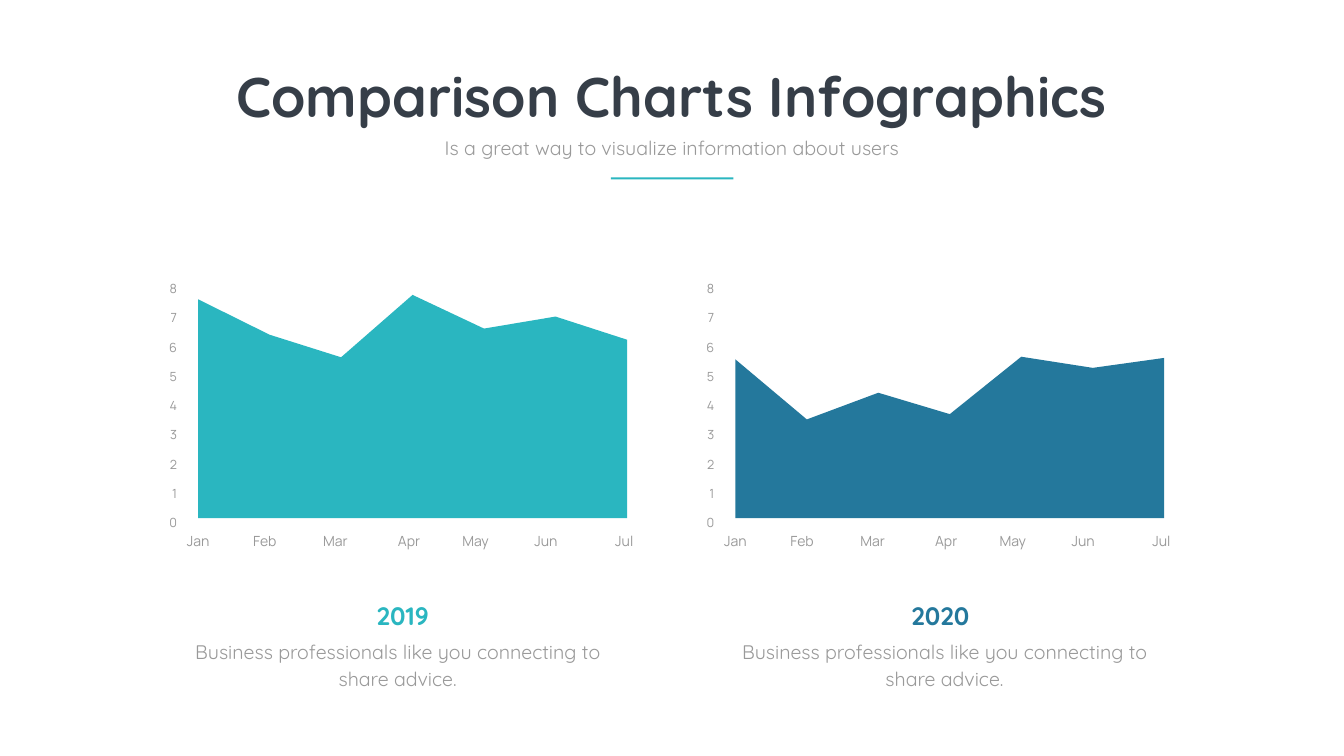
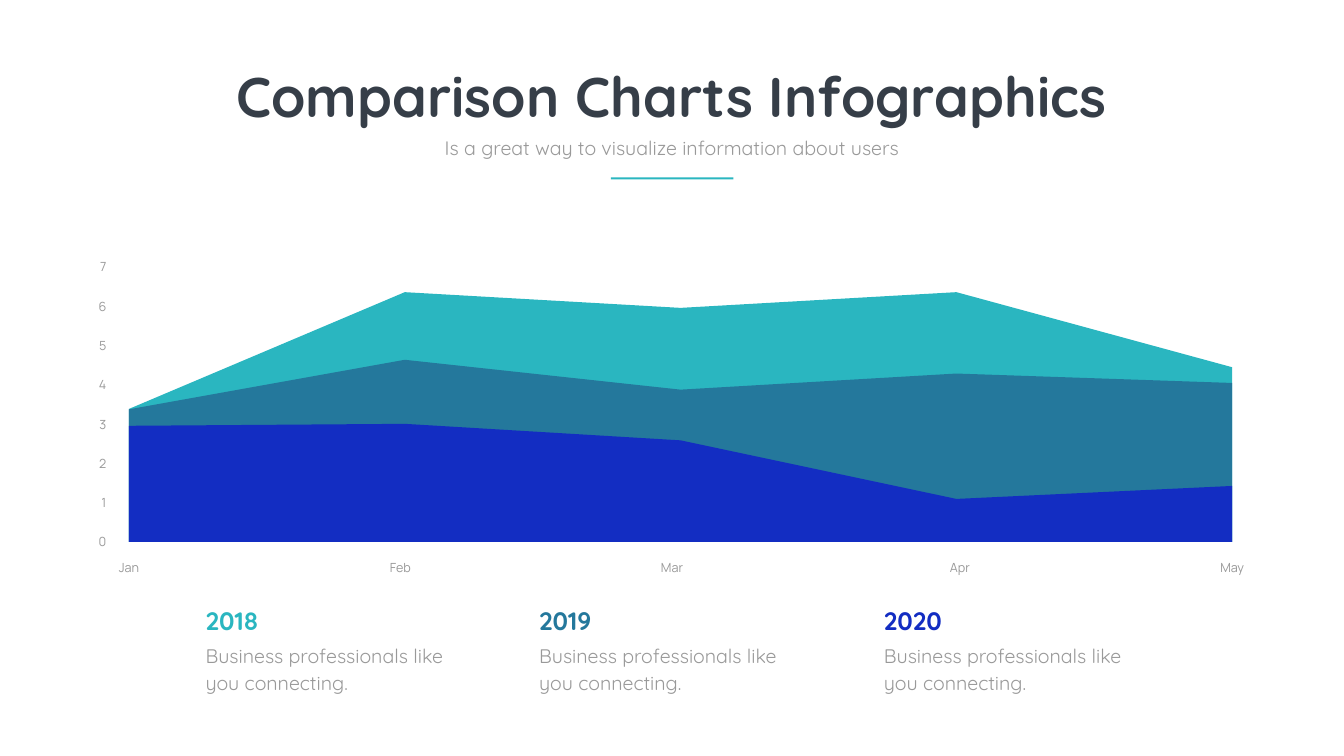
from dataclasses import dataclass
from typing import NamedTuple

from pptx import Presentation
from pptx.dml.color import RGBColor
from pptx.enum.shapes import MSO_SHAPE as Preset
from pptx.enum.text import MSO_AUTO_SIZE as AutoSize, PP_ALIGN as Align
from pptx.util import Pt

COLOURS = {
    "ink": "363E48",
    "grey": "999999",
    "teal": "2AB6C0",
    "blue": "24789C",
    "indigo": "132DC2",
}


class Area(NamedTuple):
    left: float
    top: float
    width: float
    height: float


@dataclass(frozen=True)
class TextStyle:
    size: float
    font: str = "Quicksand"
    colour: str = "grey"
    bold: bool = False
    align: Align = Align.LEFT
    line: float | None = None
    wrap: bool = True


@dataclass(frozen=True)
class Series:
    colour: str
    values: tuple[float, ...]


@dataclass(frozen=True)
class Layout:
    width: float
    base: float
    unit: float
    top_value: int
    value_box: Area
    month_box: Area
    month_size: float
    months: tuple[tuple[str, float], ...]


@dataclass(frozen=True)
class Caption:
    year: str
    colour: str
    text: str
    heading: Area
    body: Area
    align: Align


TITLE = TextStyle(80, colour="ink", bold=True, align=Align.CENTER, wrap=False)
SUBTITLE = TextStyle(28, align=Align.CENTER)
VALUE = TextStyle(18, "Manrope", align=Align.RIGHT, line=35.6)

HALF_YEAR = Layout(
    width=612.7, base=740.2, unit=41.85, top_value=8,
    value_box=Area(-62.7, -21.6, 39.6, 33.8),
    month_box=Area(-40, 5.8, 80, 30.2),
    month_size=20,
    months=(("Jan", 0), ("Feb", 95.4), ("Mar", 196.2), ("Apr", 301.3),
            ("May", 396.4), ("Jun", 497), ("Jul", 608.8)),
)
FIVE_MONTHS = Layout(
    width=1576, base=774, unit=56.16, top_value=7,
    value_box=Area(-67.7, -28.1, 42.5, 45.4),
    month_box=Area(-45.7, 8.6, 91.4, 40.3),
    month_size=18,
    months=(("Jan", 0), ("Feb", 387.7), ("Mar", 775.8), ("Apr", 1187),
            ("May", 1576)),
)

PAIR = (
    (283, Series("teal", (7.47, 6.26, 5.49, 7.62, 6.47, 6.88, 6.09))),
    (1050.5, Series("blue", (5.42, 3.37, 4.28, 3.55, 5.51, 5.13, 5.47))),
)
LAYERS = (
    Series("teal", (3.38, 6.35, 5.95, 6.35, 4.44)),
    Series("blue", (3.37, 4.63, 3.87, 4.28, 4.04)),
    Series("indigo", (2.95, 3, 2.58, 1.09, 1.42)),
)

PAIR_TEXT = "Business professionals like you connecting to share advice."
PAIR_CAPTIONS = tuple(
    Caption(year, colour, PAIR_TEXT, Area(heading_left, 854.6, 344.2, 51.1),
            Area(body_left, 905.8, 610.5, 85), Align.CENTER)
    for year, colour, heading_left, body_left in (
        ("2019", "teal", 403.2, 262.8), ("2020", "blue", 1171.4, 1044))
)
LAYER_TEXT = "Business professionals like you connecting."
LAYER_CAPTIONS = tuple(
    Caption(year, colour, LAYER_TEXT, Area(left, 861.1, 344.2, 51.1),
            Area(left, 911.5, 377.3, 85), Align.LEFT)
    for year, colour, left in (
        ("2018", "teal", 286.6), ("2019", "blue", 763.2),
        ("2020", "indigo", 1255.7))
)


def rgb(name: str) -> RGBColor:
    return RGBColor.from_string(COLOURS[name])


def paint(shape, colour: str) -> None:
    shape.fill.solid()
    shape.fill.fore_color.rgb = rgb(colour)
    shape.line.fill.background()
    shape.shadow.inherit = False


def add_text(page, area: Area, text: str, style: TextStyle) -> None:
    box = page.shapes.add_textbox(*map(Pt, area))
    frame = box.text_frame
    frame.word_wrap = style.wrap
    frame.auto_size = AutoSize.SHAPE_TO_FIT_TEXT
    para = frame.paragraphs[0]
    para.alignment = style.align
    if style.line:
        para.line_spacing = Pt(style.line)
    span = para.add_run()
    span.text = text
    span.font.name = style.font
    span.font.size = Pt(style.size)
    span.font.bold = style.bold
    span.font.color.rgb = rgb(style.colour)


def add_header(page) -> None:
    add_text(page, Area(321.8, 84.2, 1275.1, 104.4),
             "Comparison Charts Infographics", TITLE)
    add_text(page, Area(615.6, 190.8, 688.3, 41),
             "Is a great way to visualize information about users", SUBTITLE)
    rule = page.shapes.add_shape(
        Preset.RECTANGLE, Pt(872.6), Pt(253.4), Pt(175), Pt(2.9))
    paint(rule, "teal")


def add_series(page, left: float, layout: Layout, series: Series) -> None:
    step = layout.width / (len(series.values) - 1)
    right = left + layout.width
    outline = [(Pt(left + index * step), Pt(layout.base - value * layout.unit))
               for index, value in enumerate(series.values)]
    outline += [(Pt(right), Pt(layout.base)), (Pt(left), Pt(layout.base))]
    builder = page.shapes.build_freeform(*outline[0])
    builder.add_line_segments(outline[1:], close=True)
    paint(builder.convert_to_shape(), series.colour)


def add_axes(page, left: float, layout: Layout) -> None:
    box = layout.value_box
    for value in range(layout.top_value + 1):
        top = layout.base + box.top - value * layout.unit
        add_text(page, Area(left + box.left, top, box.width, box.height),
                 str(value), VALUE)
    box = layout.month_box
    style = TextStyle(layout.month_size, "Manrope", align=Align.CENTER, line=35.6)
    for month, offset in layout.months:
        add_text(page, Area(left + box.left + offset, layout.base + box.top,
                            box.width, box.height), month, style)


def add_caption(page, caption: Caption) -> None:
    add_text(page, caption.body, caption.text,
             TextStyle(28, align=caption.align, line=38.6))
    add_text(page, caption.heading, caption.year,
             TextStyle(36, colour=caption.colour, bold=True, align=caption.align))


def add_page(deck, captions: tuple[Caption, ...]):
    page = deck.slides.add_slide(deck.slide_layouts[6])
    add_header(page)
    for caption in captions:
        add_caption(page, caption)
    return page


def main() -> None:
    deck = Presentation()
    deck.slide_width, deck.slide_height = Pt(1920), Pt(1080)

    pair_page = add_page(deck, PAIR_CAPTIONS)
    for left, series in PAIR:
        add_series(pair_page, left, HALF_YEAR, series)
        add_axes(pair_page, left, HALF_YEAR)

    layers_page = add_page(deck, LAYER_CAPTIONS)
    layers_left = 184.3
    for series in LAYERS:
        add_series(layers_page, layers_left, FIVE_MONTHS, series)
    add_axes(layers_page, layers_left, FIVE_MONTHS)

    deck.save("out.pptx")


if __name__ == "__main__":
    main()
